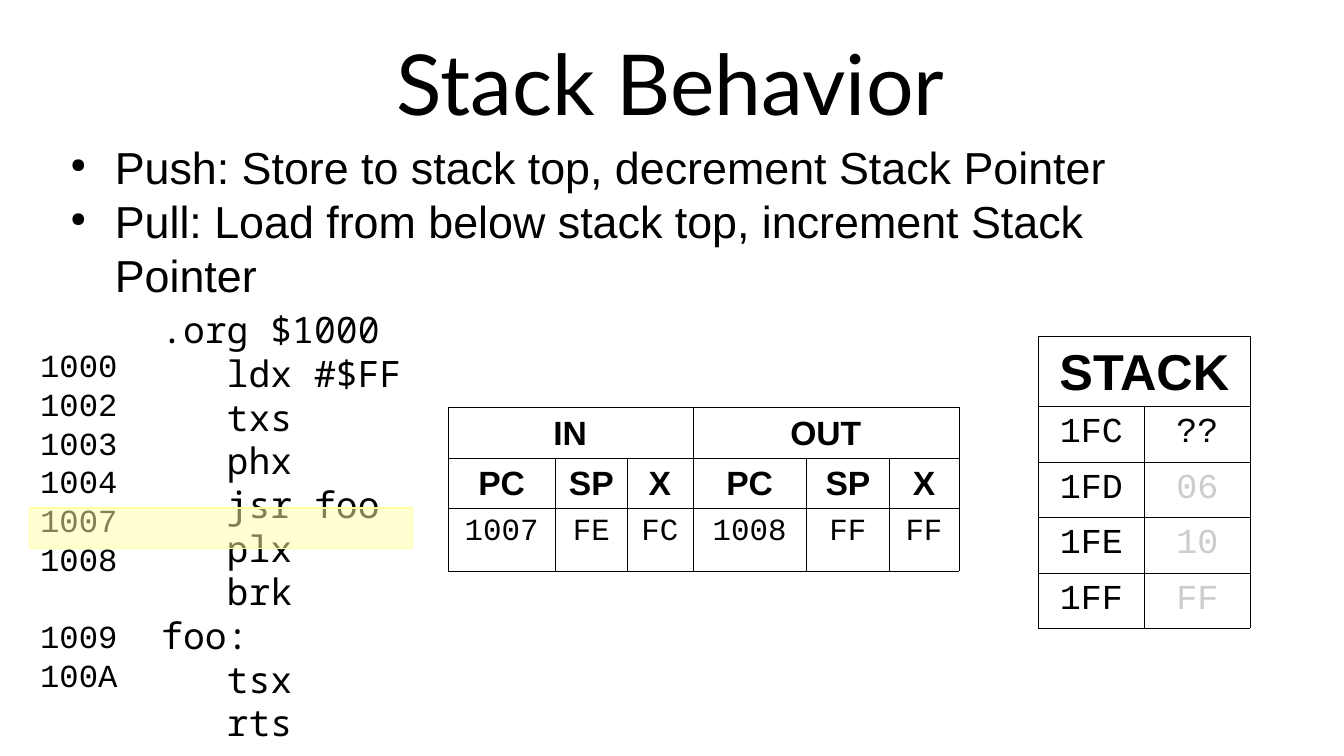
from lxml.etree import SubElement
from pptx import Presentation
from pptx.dml.color import RGBColor
from pptx.enum.shapes import MSO_SHAPE
from pptx.enum.text import MSO_ANCHOR, MSO_AUTO_SIZE, PP_ALIGN
from pptx.oxml.ns import qn
from pptx.util import Inches, Pt

BLACK = RGBColor(0x00, 0x00, 0x00)
WHITE = RGBColor(0xFF, 0xFF, 0xFF)
GRAY = RGBColor(0xCC, 0xCC, 0xCC)
YELLOW = RGBColor(0xFF, 0xFF, 0xA6)
LINE_RATIO = 1.2


def add_text(p, text, font, size, color=BLACK, bold=False):
    p.line_spacing = Pt(size * LINE_RATIO)
    r = p.add_run()
    r.text = text
    r.font.name = font
    r.font.size = Pt(size)
    r.font.bold = bold
    r.font.color.rgb = color


def format_cell(cell):
    """White fill and hairline borders on all four sides."""
    tcPr = cell._tc.get_or_add_tcPr()
    for side in ("lnL", "lnR", "lnT", "lnB"):
        ln = SubElement(tcPr, qn(f"a:{side}"), w=str(Pt(0.06)))
        fill = SubElement(ln, qn("a:solidFill"))
        SubElement(fill, qn("a:srgbClr"), val=str(BLACK))
    cell.fill.solid()
    cell.fill.fore_color.rgb = WHITE


prs = Presentation()
prs.slide_width = Inches(13.33)
prs.slide_height = Inches(7.5)
s = prs.slides.add_slide(prs.slide_layouts[5])

# Title
title = s.shapes.title
title.left, title.top = Inches(0.2), Inches(0.15)
title.width, title.height = Inches(12.9), Inches(1.45)
tf = title.text_frame
tf.auto_size = MSO_AUTO_SIZE.NONE
tf.vertical_anchor = MSO_ANCHOR.MIDDLE
p = tf.paragraphs[0]
p.alignment = PP_ALIGN.CENTER
add_text(p, "Stack Behavior", "Lato", 60)
p.line_spacing = 0.9

# Bullets, code and the address of each instruction
bullets = [
    "Push: Store to stack top, decrement Stack Pointer",
    "Pull: Load from below stack top, increment Stack Pointer",
]
code = [
    ".org $1000", "   ldx #$FF", "   txs", "   phx", "   jsr foo",
    "   plx", "   brk", "foo:", "   tsx", "   rts",
]
addresses = ["1000", "1002", "1003", "1004", "1007", "1008", "1009", "100A"]
text_boxes = [
    (0.6, 1.34, 11.79, 1.1, bullets, "Arial", 32, False),
    (1.5, 3, 3.71, 4.3, code, "Noto Sans Mono", 26, False),
    (0.3, 3.38, 1.2, 3.8, addresses, "Courier New", 23, True),
]
for left, top, width, height, lines, font, size, wrap in text_boxes:
    box = s.shapes.add_textbox(Inches(left), Inches(top), Inches(width), Inches(height))
    tf = box.text_frame
    tf.word_wrap = wrap
    tf.auto_size = MSO_AUTO_SIZE.SHAPE_TO_FIT_TEXT
    for i, line in enumerate(lines):
        p = tf.paragraphs[0] if i == 0 else tf.add_paragraph()
        if lines is bullets:
            pPr = p._p.get_or_add_pPr()
            pPr.set("marL", str(Inches(0.44)))
            pPr.set("indent", str(Inches(-0.44)))
            color = SubElement(pPr, qn("a:buClr"))
            SubElement(color, qn("a:srgbClr"), val=str(BLACK))
            SubElement(pPr, qn("a:buSzPct"), val="45000")
            SubElement(pPr, qn("a:buChar"), char="●")
        if line == "1009":  # the foo: label takes one line but no address
            p.space_before = Pt(size * LINE_RATIO)
        add_text(p, line, font, size)

# Tables: header rows are bold Arial, values are Courier New
registers = [
    ["IN", "", "", "OUT", "", ""],
    ["PC", "SP", "X", "PC", "SP", "X"],
    ["1007", "FE", "FC", "1008", "FF", "FF"],
]
stack = [["STACK", ""], ["1FC", "??"], ["1FD", "06"], ["1FE", "10"], ["1FF", "FF"]]
tables = [
    (4.44, 4.04, [1.07, 0.71, 0.65, 1.13, 0.82, 0.69], [0.5, 0.5, 0.62],
     registers, 2, 3, 24, 22),
    (10.3, 3.33, [1.05] * 2, [0.7] + [0.55] * 4, stack, 1, 2, 36, 25),
]
for left, top, cols, rows, values, header_rows, span, header_size, size in tables:
    frame = s.shapes.add_table(len(rows), len(cols), Inches(left), Inches(top),
                               Inches(sum(cols)), Inches(sum(rows)))
    table = frame.table
    for col, width in zip(table.columns, cols):
        col.width = Inches(width)
    for i, height in enumerate(rows):
        table.rows[i].height = Inches(height)
        header = i < header_rows
        for j, value in enumerate(values[i]):
            cell = table.cell(i, j)
            format_cell(cell)
            if i == 0:
                cell.vertical_anchor = MSO_ANCHOR.BOTTOM
            if value:
                p = cell.text_frame.paragraphs[0]
                p.alignment = PP_ALIGN.CENTER
                popped = values is stack and j == 1 and i > 1
                add_text(p, value, "Arial" if header else "Courier New",
                         header_size if header else size,
                         GRAY if popped else BLACK, header)
    for j in range(0, len(cols), span):
        table.cell(0, j).merge(table.cell(0, j + span - 1))

# Highlight over the current instruction
highlight = s.shapes.add_shape(MSO_SHAPE.RECTANGLE, Inches(0.29), Inches(5.04),
                               Inches(3.8), Inches(0.4))
highlight.shadow.inherit = False
highlight.fill.solid()
highlight.fill.fore_color.rgb = YELLOW
clr = highlight._element.spPr.find(qn("a:solidFill")).find(qn("a:srgbClr"))
SubElement(clr, qn("a:alpha"), val="50000")
highlight.line.color.rgb = YELLOW
highlight.line.width = Pt(0)

prs.save("out.pptx")
